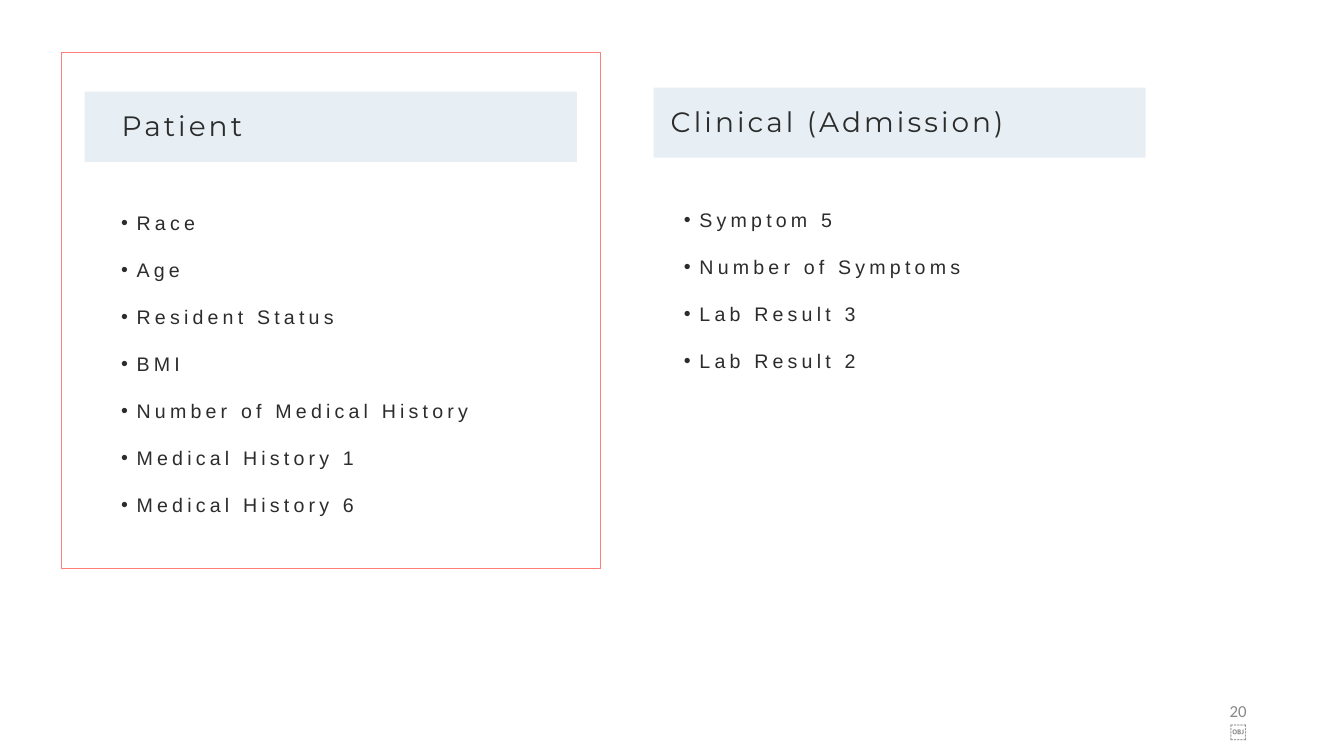
from dataclasses import dataclass

from lxml.etree import SubElement
from pptx import Presentation
from pptx.dml.color import RGBColor
from pptx.enum.shapes import MSO_SHAPE
from pptx.enum.text import MSO_ANCHOR, MSO_AUTO_SIZE, PP_ALIGN
from pptx.oxml.ns import qn
from pptx.util import Inches, Pt


@dataclass(frozen=True)
class Theme:
    ink: RGBColor = RGBColor(0x2B, 0x2C, 0x2B)
    bar: RGBColor = RGBColor(0xA7, 0xC0, 0xD5)
    frame: RGBColor = RGBColor(0xFF, 0x7E, 0x79)
    number: RGBColor = RGBColor(0x88, 0x88, 0x88)
    heading_size: int = 40
    list_size: int = 28
    number_size: int = 24


theme = Theme()


def place(sp, left, top, width, height, inset):
    """Position a text shape and set its margins, anchor and fitting."""
    sp.left, sp.top = Inches(left), Inches(top)
    sp.width, sp.height = Inches(width), Inches(height)
    tf = sp.text_frame
    tf.margin_left = tf.margin_right = Inches(inset)
    tf.margin_top = tf.margin_bottom = Inches(inset)
    tf.vertical_anchor = MSO_ANCHOR.TOP
    tf.auto_size = MSO_AUTO_SIZE.NONE
    tf.word_wrap = True
    return tf


def style_runs(p, font, size, color, tracking=0):
    """Format every run of a paragraph; tracking is in points."""
    for r in p.runs:
        r.font.name = font
        r.font.size = Pt(size)
        r.font.bold = False
        r.font.color.rgb = color
        if tracking:
            r.font._element.set("spc", str(round(tracking * 100)))


prs = Presentation()
prs.slide_width, prs.slide_height = Inches(26.65), Inches(15)
s = prs.slides.add_slide(prs.slide_layouts.get_by_name("Comparison"))
title = s.shapes.title.element
title.getparent().remove(title)
heading_left, list_left, heading_right, list_right = s.placeholders

# Columns: placeholders, bar corner, heading corner, list box, wording
columns = [
    (heading_left, list_left, (1.68, 1.82), (2.36, 2.11), (2.35, 3.66, 10.68, 6.24),
     "Patient",
     ["Race", "Age", "Resident Status", "BMI", "Number of Medical History",
      "Medical History 1", "Medical History 6"]),
    (heading_right, list_right, (12.96, 1.74), (13.25, 2.03), (13.51, 3.6, 10.68, 3.41),
     "Clinical (Admission)",
     ["Symptom 5", "Number of Symptoms", "Lab Result 3", "Lab Result 2"]),
]

for heading, body, bar_at, heading_at, list_box, name, items in columns:
    bar = s.shapes.add_shape(MSO_SHAPE.RECTANGLE, Inches(bar_at[0]), Inches(bar_at[1]),
                             Inches(9.76), Inches(1.39))
    bar.shadow.inherit = False
    bar.fill.solid()
    bar.fill.fore_color.rgb = theme.bar
    color = bar.element.spPr.find(".//" + qn("a:srgbClr"))
    SubElement(color, qn("a:alpha"), val="25000")
    bar.line.fill.background()
    s.shapes.element.insert(2, bar.element)  # behind the text

    tf = place(heading, *heading_at, 7.96, 2.66, 0.05)
    tf.text = name
    p = tf.paragraphs[0]
    p.space_before = Pt(0)
    style_runs(p, "Montserrat", theme.heading_size, theme.ink, 4.4)

    tf = place(body, *list_box, 0.05)
    tf.text = "\n".join(items)
    for p in tf.paragraphs:
        pPr = p._p.get_or_add_pPr()
        pPr.set("marL", str(Inches(0.31)))
        pPr.set("indent", str(-Inches(0.31)))
        SubElement(pPr, qn("a:buFont"), typeface="Arial")
        SubElement(pPr, qn("a:buChar"), char="•")
        p.line_spacing = 2.0
        p.space_before = Pt(0)
        style_runs(p, "Arial", theme.list_size, theme.ink, 6)

frame = s.shapes.add_shape(MSO_SHAPE.RECTANGLE, Inches(1.22), Inches(1.03),
                           Inches(10.69), Inches(10.24))
frame.shadow.inherit = False
frame.fill.background()
frame.line.color.rgb = theme.frame
frame.line.width = Pt(1)

number = s.shapes.add_textbox(0, 0, 0, 0)
tf = place(number, 24.24, 14, 0.58, 0.6, 0.1)
tf.vertical_anchor = MSO_ANCHOR.MIDDLE
tf.word_wrap = False
tf.text = "20\v￼"
p = tf.paragraphs[0]
p.alignment = PP_ALIGN.RIGHT
style_runs(p, "Calibri", theme.number_size, theme.number)

prs.save("out.pptx")
